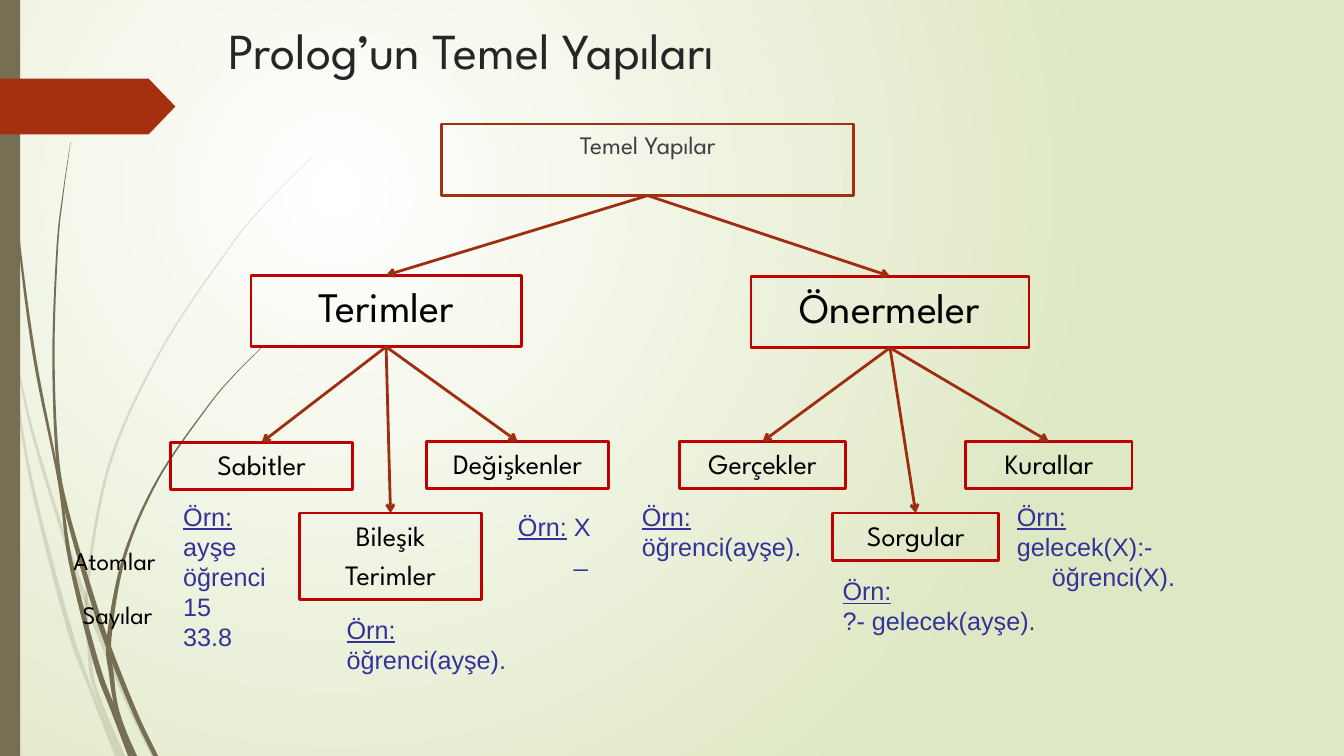
from pptx import Presentation, util as u
from pptx.dml.color import RGBColor
from pptx.enum import shapes, text
from pptx.oxml.ns import qn
from lxml import etree

Pt = u.Pt
THEME = {
    "head": "League Spartan", "note": "Arial",
    "olive": "766F54", "rust": "A53010", "arrow": "9E2E0F", "red": "C00000",
    "ink": "000000", "title": "262626", "body": "404040", "blue": "333399",
    "white": "FFFFFF", "pale": "DFE8C4",
    "big": 36, "mid": 30, "leaf": 20, "small": 18, "line": 2,
}

TITLE = ("Prolog’un Temel Yapıları", 156.2, 10.1, 648, 90)
BOXES = {
    "root": (["Temel Yapılar"], 315.4, 88.6, 294.5, 51.1, "small", "rust", "body", 4),
    "terms": (["Terimler"], 179.3, 196.6, 193, 51.1, "mid", "red", "ink", 6),
    "props": (["Önermeler"], 536.4, 197.3, 198.7, 51.1, "mid", "red", "ink", 6),
    "const": (["Sabitler"], 121.7, 316.1, 130.3, 33.8, "leaf", "red", "ink", 4),
    "vars": (["Değişkenler"], 304.6, 315.4, 130.3, 33.8, "leaf", "red", "ink", 4),
    "comp": (["Bileşik", "Terimler"], 213.8, 366.5, 130.3, 61.9, "leaf", "red", "ink", 4),
    "facts": (["Gerçekler"], 485.3, 315.4, 118.8, 33.8, "leaf", "red", "ink", 4),
    "rules": (["Kurallar"], 689.8, 315.4, 118.8, 33.8, "leaf", "red", "ink", 4),
    "asks": (["Sorgular"], 594.7, 366.5, 118.8, 33.8, "leaf", "red", "ink", 4),
}
TREE = {
    "root": ["terms", "props"],
    "terms": ["const", "vars", "comp"],
    "props": ["facts", "rules", "asks"],
}
NOTES = [
    (123.8, 354.2, 73.4, 116.6, " ayşe", [("öğrenci", 0), ("15", 0), ("33.8", 0)]),
    (362.9, 361.4, 73.4, 51.1, " X", [("_", 40)]),
    (240.5, 434.9, 131.8, 51.1, " öğrenci(ayşe).", []),
    (451.4, 354.2, 131.8, 51.1, " öğrenci(ayşe).", []),
    (719.3, 354.2, 131.8, 72.7, "", [("gelecek(X):-", 0), ("öğrenci(X).", 25)]),
    (594.7, 407.5, 154.8, 51.1, "", [("?- gelecek(ayşe).", 0)]),
]
LABELS = [("Atomlar", 45.4, 385.9, 84.2, 28.8), ("Sayılar", 51.8, 424.8, 70.6, 28.8)]
PALE = [
    [(1, 212, 3), (7, 245, 1.5), (21.2, 338, 2.2), (48.6, 446, 3.6),
     (67.5, 499, 2.6), (84, 540, 3.6)],
    [(10, 248, 0.5), (22.5, 306, 2), (43.2, 375, 2.6), (62.6, 432, 3.6),
     (90.2, 499, 3.4), (110, 540, 3.6)],
    [(224.6, 110.4, 0.3), (193, 142, 0.7), (164.5, 176, 1), (114.5, 251, 1.5),
     (78.1, 332, 2), (62.3, 420, 2.2), (64, 465, 2.9), (68, 492, 2.5), (87.5, 540, 3.6)],
]
DARK = [
    [(2.5, 0, 0.7), (5.4, 79, 0.8), (13, 167, 1.4), (24.8, 256, 2.2), (42, 343, 1.8),
     (50.4, 401, 2.9), (68.9, 474, 4), (81.5, 508, 4.3), (94.7, 540, 6.5)],
    [(50.4, 101.5, 0.2), (45, 139, 0.7), (41, 176, 1.2), (38.2, 251, 1.6),
     (40.7, 323, 2.2), (47.5, 364, 2.9), (65.4, 426, 3.8), (78.3, 464, 3.8),
     (96.8, 510, 3.6), (111.2, 540, 3.6)],
    [(187.4, 247.7, 0.5), (166.3, 269, 0.8), (147.2, 292, 1), (113, 342, 1.6),
     (89, 397, 2.3), (78, 455, 3.4), (79.6, 482, 3.4), (84, 508, 2.5), (96, 540, 2)],
]


def tint(name):
    return RGBColor.from_string(THEME[name])


def paint(shape, fill=None, line=None):
    shape.shadow.inherit = False
    if fill:
        shape.fill.solid()
        shape.fill.fore_color.rgb = tint(fill)
    else:
        shape.fill.background()
    if line:
        shape.line.color.rgb = tint(line)
        shape.line.width = Pt(THEME["line"])
    else:
        shape.line.fill.background()


def add_run(para, words, size, color, face="head", under=None):
    run = para.add_run()
    run.text = words
    font = run.font
    font.name, font.size = THEME[face], Pt(THEME[size])
    font.color.rgb, font.underline = tint(color), under


def add_text(x, y, w, h, wrap=True):
    frame = slide.shapes.add_textbox(*map(Pt, (x, y, w, h))).text_frame
    frame.word_wrap = wrap
    return frame


def smooth(knots, steps=8):
    ends = [knots[0]] + knots + [knots[-1]]
    dots = [knots[0]]
    for a, b, c, d in zip(ends, ends[1:], ends[2:], ends[3:]):
        for i in range(1, steps + 1):
            t = i / steps
            dots.append(tuple(
                (2 * q + (r - p) * t + (2 * p - 5 * q + 4 * r - s) * t ** 2
                 + (3 * q - p - 3 * r + s) * t ** 3) / 2
                for p, q, r, s in zip(a, b, c, d)))
    return dots


def add_strand(knots, alpha=None):
    dots = smooth(knots)
    edge = [(Pt(x - w / 2), Pt(y)) for x, y, w in dots]
    edge += [(Pt(x + w / 2), Pt(y)) for x, y, w in reversed(dots)]
    pen = slide.shapes.build_freeform(*edge[0], scale=1.0)
    pen.add_line_segments(edge[1:], close=True)
    strand = pen.convert_to_shape()
    paint(strand, "olive")
    if alpha:
        color = strand.element.spPr.find(qn("a:solidFill"))[0]
        etree.SubElement(color, qn("a:alpha"), val=str(alpha * 1000))


def add_box(lines, x, y, w, h, size, line, color, gap):
    box = slide.shapes.add_shape(shapes.MSO_SHAPE.RECTANGLE, *map(Pt, (x, y, w, h)))
    paint(box, line=line)
    frame = box.text_frame
    frame.word_wrap = True
    frame.vertical_anchor = text.MSO_ANCHOR.TOP
    for i, words in enumerate(lines):
        para = frame.add_paragraph() if i else frame.paragraphs[0]
        para.alignment = text.PP_ALIGN.CENTER
        para.space_before = Pt(gap)
        add_run(para, words, size, color)
    return box


def add_arrow(top, low):
    link = slide.shapes.add_connector(shapes.MSO_CONNECTOR.STRAIGHT, 0, 0, 0, 0)
    link.begin_connect(top, 2)
    link.end_connect(low, 0)
    link.line.color.rgb = tint("arrow")
    link.line.width = Pt(THEME["line"])
    props = link.element.spPr
    etree.SubElement(props.find(qn("a:ln")), qn("a:tailEnd"), type="arrow")
    etree.SubElement(props, qn("a:effectLst"))


deck = Presentation()
deck.slide_width, deck.slide_height = Pt(960), Pt(540)
slide = deck.slides.add_slide(deck.slide_layouts[6])

back = slide.background.fill
back.gradient()
for stop, name, place in zip(back.gradient_stops, ("white", "pale"), (0, 1)):
    stop.color.rgb, stop.position = tint(name), place
grad = slide.element.find(".//" + qn("a:gradFill"))
grad.remove(grad.find(qn("a:lin")))
ring = etree.SubElement(grad, qn("a:path"), path="circle")
etree.SubElement(ring, qn("a:fillToRect"), l="50000", t="50000", r="100000", b="100000")

for knots in PALE:
    add_strand(knots, 20)
for knots in DARK:
    add_strand(knots)
bar = slide.shapes.add_shape(shapes.MSO_SHAPE.RECTANGLE, 0, 0, Pt(14.4), Pt(540))
paint(bar, "olive")
tag = slide.shapes.add_shape(shapes.MSO_SHAPE.PENTAGON, 0, Pt(56.2), Pt(125.3), Pt(39.8))
tag.adjustments[0] = 0.48
paint(tag, "rust")

add_run(add_text(*TITLE[1:]).paragraphs[0], TITLE[0], "big", "title")
nodes = {key: add_box(*row) for key, row in BOXES.items()}
for top, lows in TREE.items():
    for low in lows:
        add_arrow(nodes[top], nodes[low])

for x, y, w, h, tail, more in NOTES:
    frame = add_text(x, y, w, h)
    para = frame.paragraphs[0]
    add_run(para, "Örn:", "small", "blue", "note", True)
    if tail:
        add_run(para, tail, "small", "blue", "note")
    for words, dent in more:
        para = frame.add_paragraph()
        if dent:
            para._p.get_or_add_pPr().set("marL", str(Pt(dent)))
        add_run(para, words, "small", "blue", "note")
for words, *place in LABELS:
    add_run(add_text(*place, wrap=False).paragraphs[0], words, "small", "ink")

deck.save("out.pptx")
